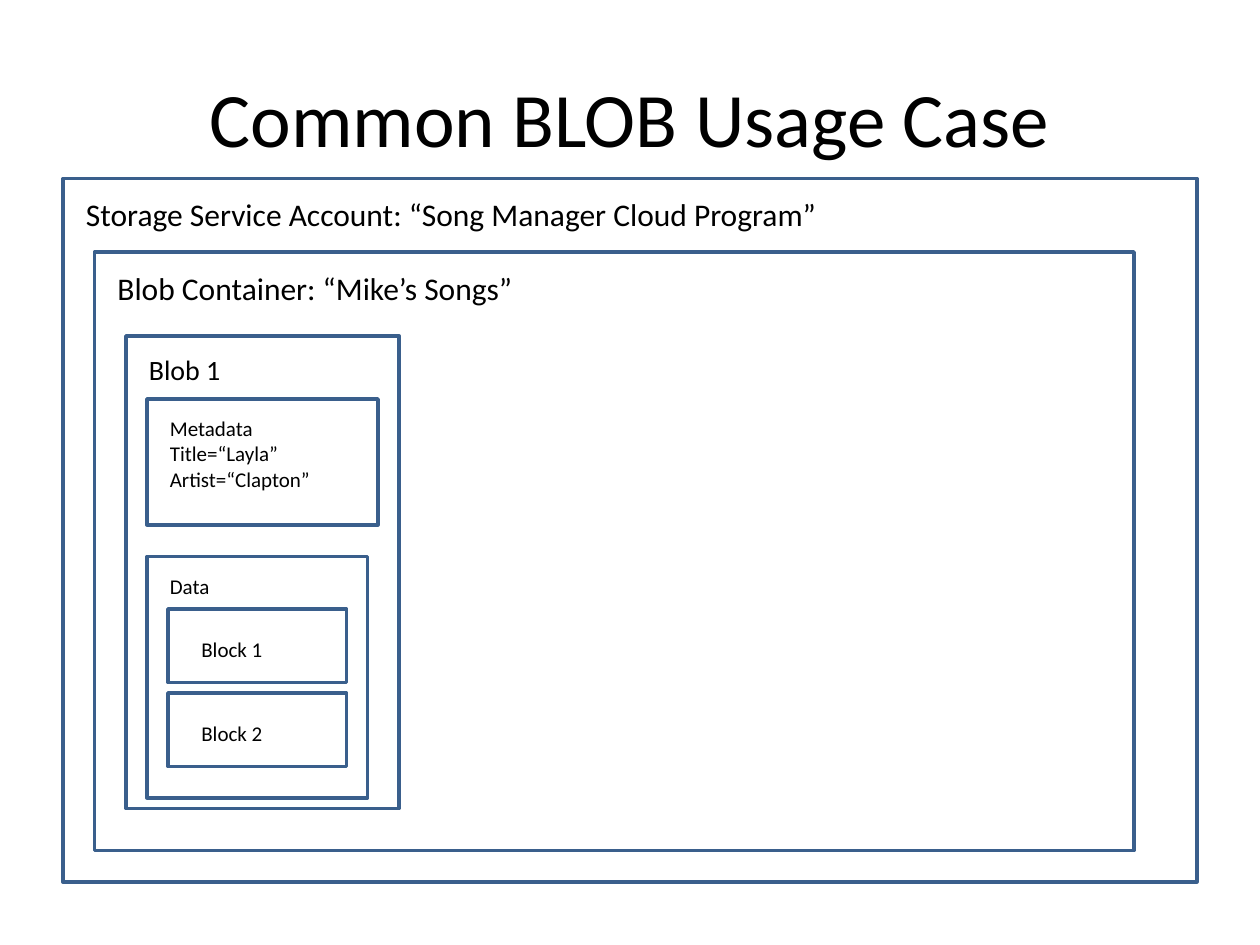
import pptx
import pptx.dml.color
import pptx.enum.shapes
import pptx.enum.text
import pptx.util
from typing import Any, NamedTuple

COLS, ROWS = 120, 90  # twelve cells to the inch
COLOR = {"ink": "000000", "edge": "3A5F8C", "paper": "FFFFFF"}
ALIGN = pptx.enum.text.PP_ALIGN
ANCHOR = pptx.enum.text.MSO_ANCHOR


class Area(NamedTuple):
    col: float
    row: float
    wide: float
    high: float


class Box(NamedTuple):
    area: Area
    lines: tuple[str, ...]
    size: int
    wide: float  # columns of the label
    inset: int = 1  # cells from the box corner to the label


BOXES = [
    Box(Area(6, 17, 108, 67), ("Storage Service Account: “Song Manager Cloud Program”",), 18, 92),
    Box(Area(9, 24, 99, 57), ("Blob Container: “Mike’s Songs”",), 18, 51),
    Box(Area(12, 32, 26, 45), ("Blob 1",), 16, 22),
    Box(Area(14, 38, 22, 12), ("Metadata", "Title=“Layla”", "Artist=“Clapton”"), 12, 18),
    Box(Area(14, 53, 21, 23), ("Data",), 12, 18),
] + [
    Box(Area(16, 58 + 8 * i, 17, 7), (f"Block {i + 1}",), 12, 12, inset=2)
    for i in range(2)
]


def paint(name: str) -> pptx.dml.color.RGBColor:
    return pptx.dml.color.RGBColor.from_string(COLOR[name])


def place(area: Area) -> list[pptx.util.Emu]:
    """Turn grid cells into left, top, width and height."""
    return [pptx.util.Inches(cells / 12) for cells in area]


def write(slide: Any, area: Area, lines: tuple[str, ...], *, size: int,
          align: Any = ALIGN.LEFT, anchor: Any = ANCHOR.TOP) -> None:
    frame = slide.shapes.add_textbox(*place(area)).text_frame
    frame.word_wrap = True
    frame.vertical_anchor = anchor
    frame.text = "\n".join(lines)
    for para in frame.paragraphs:
        para.alignment = align
        for run in para.runs:
            run.font.name = "Calibri"
            run.font.size = pptx.util.Pt(size)
            run.font.color.rgb = paint("ink")


def draw(slide: Any, box: Box) -> None:
    """Draw a framed box with its label near the top left corner."""
    kind = pptx.enum.shapes.MSO_SHAPE.RECTANGLE
    shape = slide.shapes.add_shape(kind, *place(box.area))
    shape.shadow.inherit = False
    shape.fill.solid()
    shape.fill.fore_color.rgb = paint("paper")
    shape.line.color.rgb = paint("edge")
    shape.line.width = pptx.util.Pt(2)
    high = len(box.lines) * box.size / 5 + 1.2
    label = Area(box.area.col + box.inset, box.area.row + box.inset, box.wide, high)
    write(slide, label, box.lines, size=box.size)


def main() -> None:
    deck = pptx.Presentation()
    deck.slide_width = pptx.util.Inches(COLS / 12)
    deck.slide_height = pptx.util.Inches(ROWS / 12)
    slide = deck.slides.add_slide(deck.slide_layouts[6])
    write(slide, Area(6, 3.6, 108, 15), ("Common BLOB Usage Case",), size=44,
          align=ALIGN.CENTER, anchor=ANCHOR.MIDDLE)
    for box in BOXES:
        draw(slide, box)
    deck.save("out.pptx")


if __name__ == "__main__":
    main()
